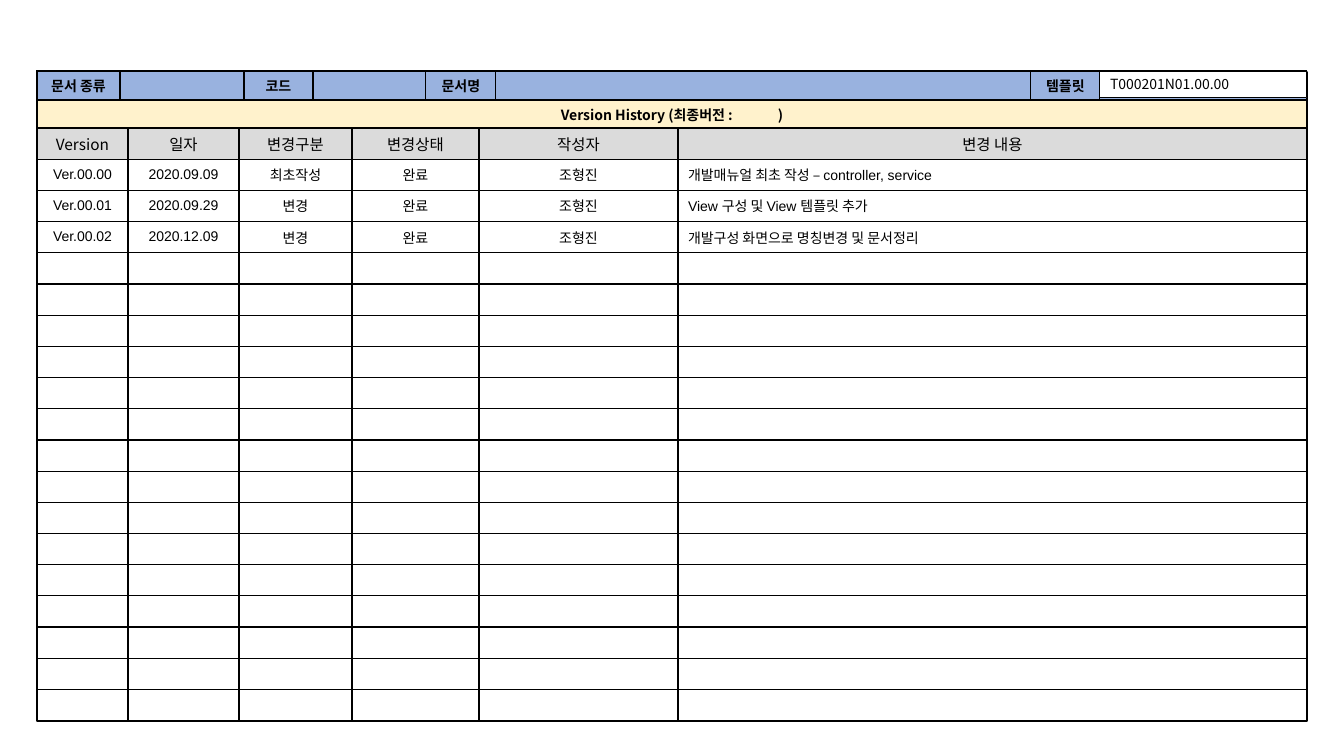
from lxml import etree
from pptx import Presentation
from pptx.dml.color import RGBColor
from pptx.enum.text import MSO_ANCHOR, MSO_AUTO_SIZE, PP_ALIGN
from pptx.enum.shapes import MSO_SHAPE
from pptx.oxml.ns import qn
from pptx.util import Emu, Pt

CENTER, LEFT = PP_ALIGN.CENTER, PP_ALIGN.LEFT
MIDDLE = MSO_ANCHOR.MIDDLE
NO_AUTOFIT = MSO_AUTO_SIZE.NONE
RECTANGLE = MSO_SHAPE.RECTANGLE

BLACK = RGBColor(0x00, 0x00, 0x00)
WHITE = RGBColor(0xFF, 0xFF, 0xFF)
PALE_BLUE = RGBColor(0xE5, 0xF8, 0xFF)
BLUE = RGBColor(0x99, 0xB2, 0xDF)
CREAM = RGBColor(0xFF, 0xF2, 0xCC)
GRAY = RGBColor(0xDB, 0xDB, 0xDB)

KOREAN_FONT = "Noto Sans CJK KR"
LATIN_FONT = "Arial"
SCALE = 914400 / 100.8
PAGE_LEFT, PAGE_WIDTH = 37, 1270

DOCUMENT_WIDTHS = [83, 124, 69, 113, 70, 535, 69, 207]
DOCUMENT_LABELS = ["문서 종류", "", "코드", "", "문서명", "", "템플릿", ""]
HISTORY_WIDTHS = [91, 111, 113, 127, 199, 629]
HISTORY_HEADINGS = ["Version", "일자", "변경구분", "변경상태", "작성자", "변경 내용"]
HISTORY = [
    ["Ver.00.00", "2020.09.09", "최초작성", "완료", "조형진",
     "개발매뉴얼 최초 작성 – controller, service"],
    ["Ver.00.01", "2020.09.29", "변경", "완료", "조형진",
     "View 구성 및 View 템플릿 추가"],
    ["Ver.00.02", "2020.12.09", "변경", "완료", "조형진",
     "개발구성 화면으로 명칭변경 및 문서정리"],
]
HISTORY_ROWS = 19


def px(length):
    return Emu(round(length * SCALE))


def style_run(run, size, font, bold=False):
    run.font.size = Pt(size)
    run.font.name = font
    run.font.bold = bold
    run.font.color.rgb = BLACK
    east_asian = etree.Element(qn("a:ea"), typeface=KOREAN_FONT)
    run.font._element.find(qn("a:latin")).addnext(east_asian)


def border_cell(cell):
    properties = cell._tc.get_or_add_tcPr()
    for index, side in enumerate(("a:lnL", "a:lnR", "a:lnT", "a:lnB")):
        line = etree.Element(qn(side), w=str(Pt(1)))
        fill = etree.SubElement(line, qn("a:solidFill"))
        etree.SubElement(fill, qn("a:srgbClr"), val=str(BLACK))
        properties.insert(index, line)


def fill_cell(cell, text, color, size=10, font=KOREAN_FONT, bold=False, align=CENTER):
    cell.fill.solid()
    cell.fill.fore_color.rgb = color
    border_cell(cell)
    cell.vertical_anchor = MIDDLE
    cell.margin_top = cell.margin_bottom = px(2)
    paragraph = cell.text_frame.paragraphs[0]
    paragraph.text = text
    paragraph.alignment = align
    for run in paragraph.runs:
        style_run(run, size, font, bold)
    if not text:
        etree.SubElement(paragraph._p, qn("a:endParaRPr"), sz=str(size * 100))


def add_grid(slide, top, height, widths, row_count):
    frame = slide.shapes.add_table(
        row_count, len(widths), px(PAGE_LEFT), px(top), px(PAGE_WIDTH), px(height))
    grid = frame.table
    grid.first_row = grid.horz_banding = False
    for column, width in zip(grid.columns, widths):
        column.width = px(width)
    for row in grid.rows:
        row.height = px(height / row_count)
    return grid


def add_page_frame(slide):
    frame = slide.shapes.add_shape(
        RECTANGLE, px(PAGE_LEFT), px(72), px(PAGE_WIDTH), px(649))
    frame.shadow.inherit = False
    frame.fill.solid()
    frame.fill.fore_color.rgb = PALE_BLUE
    frame.line.color.rgb = BLACK
    frame.line.width = Pt(1)


def add_document_bar(slide):
    bar = add_grid(slide, 71, 29, DOCUMENT_WIDTHS, 1)
    for cell, label in zip(bar.rows[0].cells, DOCUMENT_LABELS):
        fill_cell(cell, label, BLUE, bold=True)


def add_history_title(slide):
    cell = add_grid(slide, 100, 28, [PAGE_WIDTH], 1).cell(0, 0)
    fill_cell(cell, "Version History (최종버전 :", CREAM, bold=True)
    paragraph = cell.text_frame.paragraphs[0]
    for text in (" ", ")"):
        run = paragraph.add_run()
        run.text = text
        style_run(run, 10, KOREAN_FONT, True)
    version_gap = paragraph.runs[1]
    version_gap.font._element.set("spc", "3000")


def add_history(slide):
    history = add_grid(slide, 128, 593, HISTORY_WIDTHS, HISTORY_ROWS)
    for cell, heading in zip(history.rows[0].cells, HISTORY_HEADINGS):
        fill_cell(cell, heading, GRAY, size=11)
    blank = [""] * len(HISTORY_WIDTHS)
    entries = HISTORY + [blank] * (HISTORY_ROWS - 1 - len(HISTORY))
    alignments = [CENTER] * (len(HISTORY_WIDTHS) - 1) + [LEFT]
    for row_index, entry in enumerate(entries, start=1):
        cells = history.rows[row_index].cells
        for cell, text, align in zip(cells, entry, alignments):
            fill_cell(cell, text, WHITE, font=LATIN_FONT, align=align)


def place_template_code(code):
    code.left, code.top, code.width, code.height = px(1100), px(71), px(207), px(27)
    code.fill.solid()
    code.fill.fore_color.rgb = WHITE
    code.line.color.rgb = BLACK
    code.line.width = Pt(0.75)
    frame = code.text_frame
    frame.text = "T000201N01.00.00"
    frame.word_wrap = True
    frame.auto_size = NO_AUTOFIT
    frame.vertical_anchor = MIDDLE
    paragraph = frame.paragraphs[0]
    paragraph.alignment = LEFT
    paragraph.line_spacing = 0.9
    paragraph.space_before = Pt(10)
    style_run(paragraph.runs[0], 10, KOREAN_FONT)
    code.element.getparent().append(code.element)


def main():
    presentation = Presentation()
    presentation.slide_width, presentation.slide_height = px(1344), px(756)
    slide = presentation.slides.add_slide(presentation.slide_layouts[2])
    title = slide.shapes.title.element
    title.getparent().remove(title)
    add_page_frame(slide)
    add_document_bar(slide)
    add_history_title(slide)
    add_history(slide)
    place_template_code(slide.placeholders[1])
    presentation.save("out.pptx")


if __name__ == "__main__":
    main()
